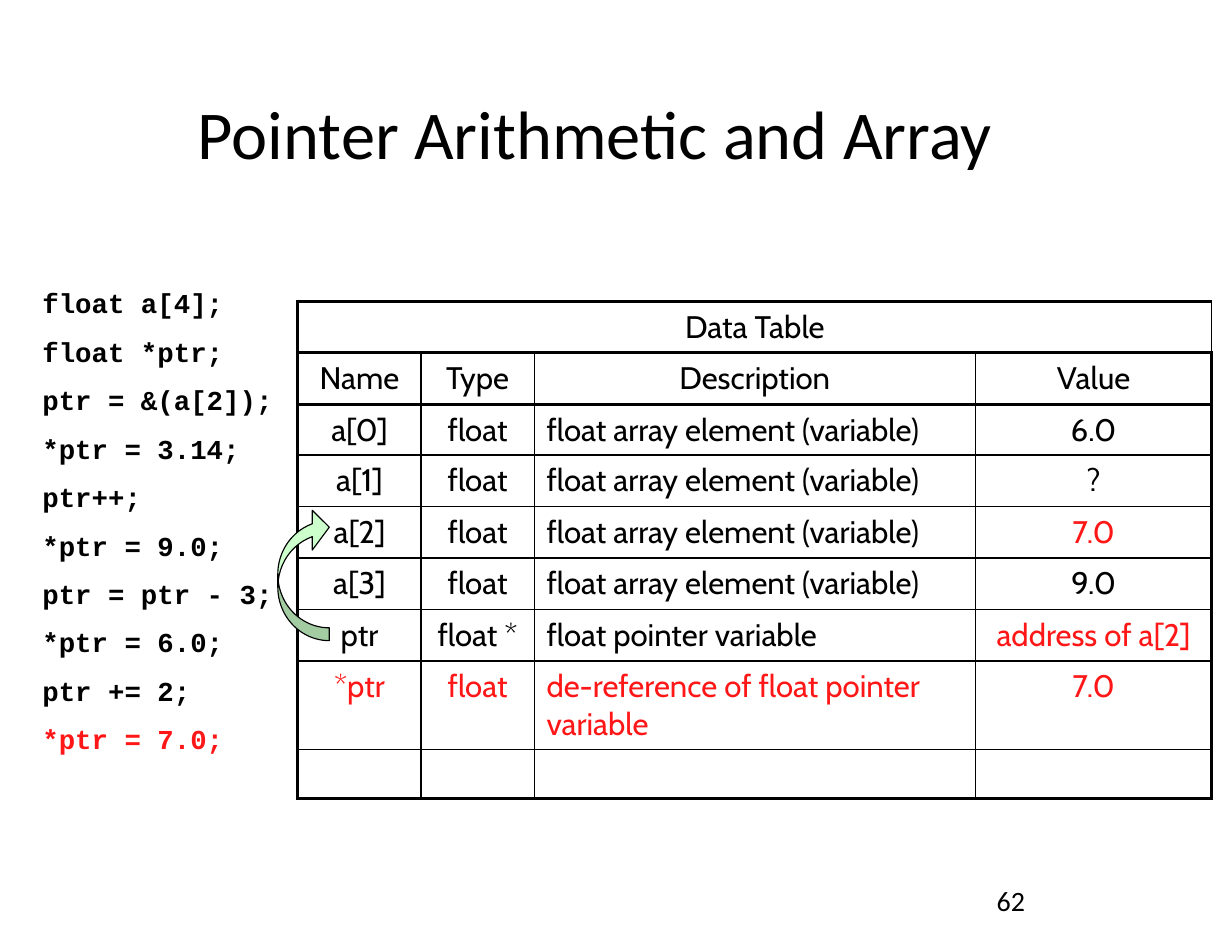
from dataclasses import dataclass

from lxml.etree import SubElement
from pptx import Presentation
from pptx.dml.color import RGBColor
from pptx.enum.shapes import MSO_SHAPE
from pptx.enum.text import MSO_ANCHOR, PP_ALIGN
from pptx.oxml import parse_xml
from pptx.oxml.ns import nsdecls, qn
from pptx.util import Inches, Pt


@dataclass(frozen=True)
class Theme:
    ink: str = "000000"
    accent: str = "FF1717"
    arrow: str = "CCFFCC"
    heading_font: str = "Calibri"
    code_font: str = "Courier New"
    table_font: str = "Cabin"
    title_size: float = 44
    code_size: float = 17.6
    table_size: float = 20
    number_size: float = 18
    thin: float = 1
    heavy: float = 2.25


THEME = Theme()

CODE = [
    "float a[4];", "float *ptr;", "ptr = &(a[2]);", "*ptr = 3.14;", "ptr++;",
    "*ptr = 9.0;", "ptr = ptr - 3;", "*ptr = 6.0;", "ptr += 2;", "*ptr = 7.0;",
]
ELEMENT = "float array element (variable)"
ROWS = [
    ["Data Table", "", "", ""],
    ["Name", "Type", "Description", "Value"],
    ["a[0]", "float", ELEMENT, "6.0"],
    ["a[1]", "float", ELEMENT, "?"],
    ["a[2]", "float", ELEMENT, "7.0"],
    ["a[3]", "float", ELEMENT, "9.0"],
    ["ptr", "float *", "float pointer variable", "address of a[2]"],
    ["*ptr", "float", "de-reference of float pointer variable", "7.0"],
    ["", "", "", ""],
]
COLUMN_WIDTHS = [1.1, 1.01, 3.94, 2.11]
ROW_HEIGHTS = [0.46, 0.46, 0.44, 0.46, 0.46, 0.46, 0.46, 0.77, 0.44]
HEADER_ROWS = 2
DESCRIPTION_COLUMN = 2
# Cells changed by the last statement: (row, column)
CHANGED = {(4, 3), (6, 3)} | {(7, column) for column in range(4)}


def inches(box):
    return [Inches(length) for length in box]


def style(para, font, size, color=THEME.ink, bold=False):
    for span in para.runs:
        span.font.name = font
        span.font.size = Pt(size)
        span.font.bold = bold
        span.font.color.rgb = RGBColor.from_string(color)


def add_title(page, box, text):
    title = page.shapes.title
    title.left, title.top, title.width, title.height = inches(box)
    title.text_frame.text = text
    title.text_frame.vertical_anchor = MSO_ANCHOR.TOP
    para = title.text_frame.paragraphs[0]
    para.alignment = PP_ALIGN.CENTER
    style(para, THEME.heading_font, THEME.title_size)


def add_page_number(page, box, text):
    frame = page.shapes.add_textbox(*inches(box)).text_frame
    frame.word_wrap = True
    frame.text = text
    style(frame.paragraphs[0], THEME.heading_font, THEME.number_size)


def add_code(page, box, lines):
    frame = page.shapes.add_textbox(*inches(box)).text_frame
    frame.word_wrap = True
    frame.text = "\n".join(lines)
    for index, para in enumerate(frame.paragraphs):
        if index:
            para.space_before = Pt(10)
        last = index == len(lines) - 1
        style(para, THEME.code_font, THEME.code_size,
              THEME.accent if last else THEME.ink, bold=True)


def set_borders(cell, row, column):
    """Heavy lines frame the table and its header rows; the rest are thin."""
    last_row, last_column = len(ROWS) - 1, len(COLUMN_WIDTHS) - 1
    heavy = {
        "lnL": column == 0,
        "lnR": column == last_column,
        "lnT": row <= HEADER_ROWS,
        "lnB": row < HEADER_ROWS or row == last_row,
    }
    properties = cell._tc.get_or_add_tcPr()
    for index, (edge, is_heavy) in enumerate(heavy.items()):
        width = Pt(THEME.heavy if is_heavy else THEME.thin)
        properties.insert(index, parse_xml(
            f'<a:{edge} {nsdecls("a")} w="{width}"><a:solidFill>'
            f'<a:srgbClr val="{THEME.ink}"/></a:solidFill></a:{edge}>'))


def fill_cell(cell, row, column):
    cell.fill.background()
    cell.margin_left = cell.margin_right = Inches(0.11)
    cell.margin_top = cell.margin_bottom = Inches(0.06)
    set_borders(cell, row, column)
    text = ROWS[row][column]
    if not text:
        return
    cell.text_frame.text = text
    para = cell.text_frame.paragraphs[0]
    is_prose = column == DESCRIPTION_COLUMN and row >= HEADER_ROWS
    para.alignment = PP_ALIGN.LEFT if is_prose else PP_ALIGN.CENTER
    color = THEME.accent if (row, column) in CHANGED else THEME.ink
    style(para, THEME.table_font, THEME.table_size, color)


def add_data_table(page, box):
    table = page.shapes.add_table(
        len(ROWS), len(COLUMN_WIDTHS), *inches(box)).table
    table.first_row = table.horz_banding = False
    for column, width in zip(table.columns, COLUMN_WIDTHS):
        column.width = Inches(width)
    for row, height in zip(table.rows, ROW_HEIGHTS):
        row.height = Inches(height)
    table.cell(0, 0).merge(table.cell(0, len(COLUMN_WIDTHS) - 1))
    for row in range(len(ROWS)):
        for column in range(len(COLUMN_WIDTHS)):
            fill_cell(table.cell(row, column), row, column)


def add_pointer_arrow(page, box):
    arrow = page.shapes.add_shape(MSO_SHAPE.CURVED_LEFT_ARROW, *inches(box))
    arrow.rotation = 180
    for index, value in enumerate([0.25, 0.77, 0.33]):
        arrow.adjustments[index] = value
    arrow.shadow.inherit = False
    arrow.fill.solid()
    arrow.fill.fore_color.rgb = RGBColor.from_string(THEME.arrow)
    arrow.line.color.rgb = RGBColor.from_string(THEME.ink)
    arrow.line.width = Pt(0.75)


def main():
    deck = Presentation()
    deck.slide_width, deck.slide_height = Inches(11), Inches(8.5)
    page = deck.slides.add_slide(deck.slide_layouts[5])

    # Heading and page number
    add_title(page, (0.64, 0.76, 9.35, 1.42), "Pointer Arithmetic and Array")
    add_page_number(page, (8.8, 7.84, 2.29, 0.57), "62")

    # Program on the left, memory contents on the right
    add_code(page, (0.28, 2.51, 10.27, 4.4), CODE)
    add_data_table(page, (2.66, 2.69, 8.16, 4.4))

    # Arrow from ptr to the element it points at
    add_pointer_arrow(page, (2.48, 4.53, 0.46, 1.19))

    deck.save("out.pptx")


if __name__ == "__main__":
    main()
